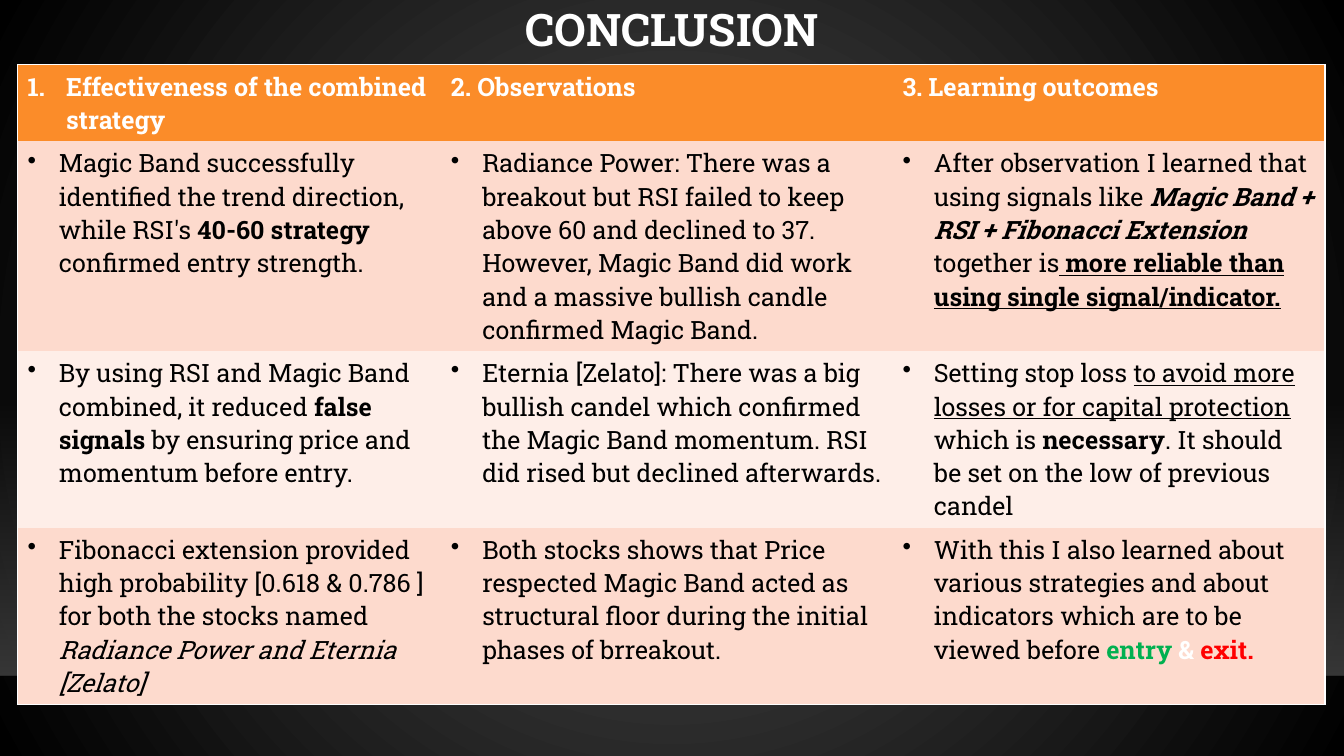
from lxml.etree import SubElement
from dataclasses import dataclass
from pptx import Presentation
from pptx.dml.color import RGBColor
from pptx.enum.shapes import MSO_CONNECTOR, MSO_SHAPE
from pptx.enum.text import MSO_ANCHOR, PP_ALIGN
from pptx.oxml.ns import qn
from pptx.util import Cm, Pt

TITLE = "CONCLUSION"
HEADS = ["Effectiveness of the combined strategy", "2. Observations", "3. Learning outcomes"]
ROWS = [
    [
        [("Magic Band successfully identified the trend direction, while RSI's ", ""),
         ("40-60 strategy", "b"), (" confirmed entry strength.", "")],
        [("Radiance Power: There was a breakout but RSI failed to keep above 60 and "
          "declined to 37. However, Magic Band did work and a massive bullish candle "
          "confirmed Magic Band.", "")],
        [("After observation I learned that using signals like ", ""),
         ("Magic Band + RSI + Fibonacci Extension", "bi"), (" together is", ""),
         (" more reliable than", "bu"), (" ", ""),
         ("using single signal/indicator.", "bu")],
    ],
    [
        [("By using RSI and Magic Band combined, it reduced ", ""),
         ("false signals", "b"), (" by ensuring price and momentum before entry.", "")],
        [("Eternia [Zelato]: There was a big bullish candel which confirmed the Magic Band "
          "momentum. RSI did rised but declined afterwards.", "")],
        [("Setting stop loss ", ""),
         ("to avoid more losses or for capital protection", "u"), (" which is ", ""),
         ("necessary", "b"), (". It should be set on the low of previous candel", "")],
    ],
    [
        [("Fibonacci extension provided high probability [0.618 & 0.786 ] for both the "
          "stocks named ", ""), ("Radiance Power and Eternia [Zelato]", "i")],
        [("Both stocks shows that Price respected Magic Band acted as structural floor "
          "during the initial phases of brreakout.", "")],
        [("With this I also learned about various strategies and about indicators which "
          "are to be viewed before", ""), (" entry ", "bg"), ("& ", "bw"), ("exit.", "br")],
    ],
]
WIDTHS = [10.67, 11.38, 10.9]
TALLS = [1.73, 4.7, 3.94, 4.42]


@dataclass(frozen=True)
class Theme:
    font: str = "Roboto Slab"
    big: int = 32
    body: int = 18
    white: str = "FFFFFF"
    black: str = "000000"
    green: str = "00B050"
    red: str = "FF0000"
    head: str = "FB8C29"
    bands: tuple = ("FDDACD", "FEEEE8")
    glow: str = "505050"
    floor: str = "454545"
    edge: str = "000001"


T = Theme()
INKS = {"w": T.white, "g": T.green, "r": T.red}


def node(up, tag, **keys):
    return SubElement(up, qn(tag), {k: str(v) for k, v in keys.items()})


def grad(up, stops):
    fill = node(up, "a:gradFill", rotWithShape=1)
    group = node(fill, "a:gsLst")
    for spot, ink, alpha in stops:
        stop = node(group, "a:gs", pos=spot * 1000)
        node(node(stop, "a:srgbClr", val=ink), "a:alpha", val=alpha * 1000)
    return fill


def swap(up, fill):
    old = up.find(qn("a:solidFill"))
    up.replace(old, fill)


def add_run(para, text, marks, size, ink):
    run = para.add_run()
    run.text = text
    font = run.font
    font.name, font.size = T.font, Pt(size)
    font.bold, font.italic, font.underline = "b" in marks, "i" in marks, "u" in marks
    tint = next((INKS[m] for m in marks if m in INKS), ink)
    font.color.rgb = RGBColor.from_string(tint)


def hang(para, dent, tag, **keys):
    props = para._p.get_or_add_pPr()
    props.set("marL", str(Cm(dent)))
    props.set("indent", str(-Cm(dent)))
    node(props, tag, **keys)


def frame(cell, row, col):
    props = cell._tc.get_or_add_tcPr()
    sides = {"a:lnL": col == 0, "a:lnR": col == len(HEADS) - 1,
             "a:lnT": row == 0, "a:lnB": row == len(ROWS)}
    for tag in (t for t, on in sides.items() if on):
        line = node(props, tag, w=Pt(1))
        node(node(line, "a:solidFill"), "a:srgbClr", val=T.white)


def add_back(slide, wide):
    slide.background.fill.solid()
    props = slide._element.cSld.find(qn("p:bg")).find(qn("p:bgPr"))
    fill = grad(props, [(0, T.glow, 100), (100, T.black, 100)])
    way = node(fill, "a:path", path="circle")
    node(way, "a:fillToRect", l=50000, t=50000, r=50000, b=50000)
    swap(props, fill)

    band = slide.shapes.add_shape(MSO_SHAPE.RECTANGLE, 0, Cm(10.06), wide, Cm(6.97))
    band.shadow.inherit = False
    band.line.fill.background()
    band.fill.solid()
    props = band._element.spPr
    fill = grad(props, [(0, T.floor, 0), (100, T.floor, 80)])
    node(fill, "a:lin", ang=5400000, scaled=0)
    swap(props, fill)

    line = slide.shapes.add_connector(MSO_CONNECTOR.STRAIGHT, 0, Cm(17.03), wide, Cm(17.03))
    line.line.width = Pt(1)
    line.line.color.rgb = RGBColor.from_string(T.edge)
    props = line._element.spPr
    node(props.find(".//" + qn("a:srgbClr")), "a:alpha", val=20000)
    node(props, "a:effectLst")


def add_title(slide):
    title = slide.shapes.title
    title.left, title.top, title.width, title.height = Cm(4.04), 0, Cm(25.8), Cm(1.62)
    text = title.text_frame
    text.vertical_anchor = MSO_ANCHOR.MIDDLE
    para = text.paragraphs[0]
    para.alignment, para.line_spacing = PP_ALIGN.CENTER, 0.9
    add_run(para, TITLE, "b", T.big, T.white)


def add_grid(slide):
    shape = slide.shapes.add_table(len(TALLS), len(WIDTHS), Cm(0.44), Cm(1.63),
                                   Cm(sum(WIDTHS)), Cm(sum(TALLS)))
    grid = shape.table
    style = grid._tbl.tblPr.find(qn("a:tableStyleId"))
    style.text = "{2D5ABB26-0587-4C30-8999-92F81FD0307C}"
    for col, size in zip(grid.columns, WIDTHS):
        col.width = Cm(size)
    for row, size in zip(grid.rows, TALLS):
        row.height = Cm(size)
    cells = [[[(head, "b")] for head in HEADS]] + ROWS
    for r, row in enumerate(cells):
        for c, runs in enumerate(row):
            cell = grid.cell(r, c)
            frame(cell, r, c)
            cell.fill.solid()
            tint = T.bands[(r - 1) % 2] if r else T.head
            cell.fill.fore_color.rgb = RGBColor.from_string(tint)
            para = cell.text_frame.paragraphs[0]
            if r:
                hang(para, 0.79, "a:buChar", char="•")
            elif c == 0:
                hang(para, 0.97, "a:buAutoNum", type="arabicPeriod")
            for text, marks in runs:
                add_run(para, text, marks, T.body, T.black if r else T.white)


def main():
    deck = Presentation()
    deck.slide_width, deck.slide_height = Cm(33.87), Cm(19.05)
    slide = deck.slides.add_slide(deck.slide_layouts[5])
    add_back(slide, deck.slide_width)
    add_title(slide)
    add_grid(slide)
    deck.save("out.pptx")


if __name__ == "__main__":
    main()
